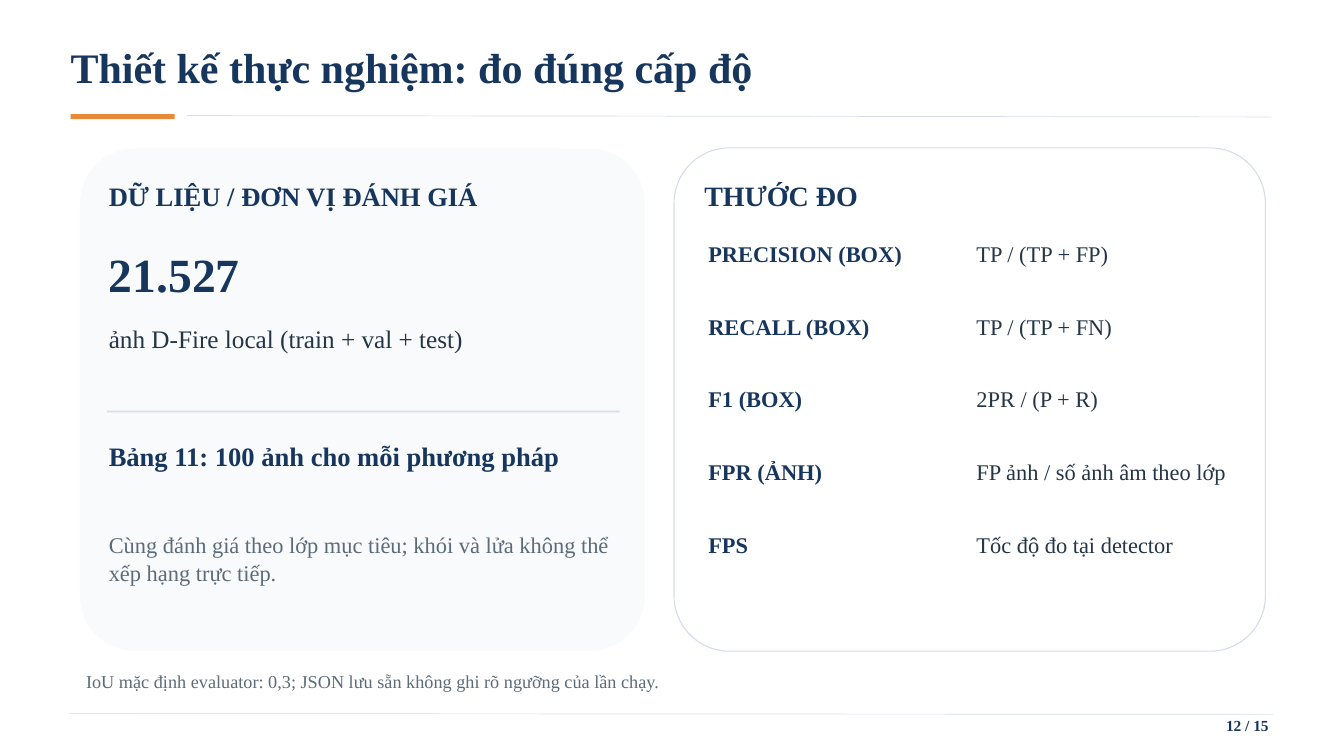
from pptx import Presentation
from pptx.dml.color import RGBColor
from pptx.enum.shapes import MSO_CONNECTOR as Connector, MSO_SHAPE as Shape
from pptx.enum.text import MSO_AUTO_SIZE as AutoSize, PP_ALIGN as Align
from pptx.oxml.ns import qn
from pptx.util import Pt
from lxml import etree

COLORS = {
    "navy": "17365D",
    "ink": "243546",
    "muted": "5C6B7A",
    "rule": "D5DEE9",
    "accent": "E88937",
    "panel": "F8FAFC",
    "white": "FFFFFF",
}


class SlideWriter:
    font_name = "Times New Roman"
    line_ratio = 1.284

    def __init__(self, slide):
        self.slide = slide

    def color(self, name):
        return RGBColor.from_string(COLORS[name])

    def text(self, words, left, top, width, height, size,
             color="navy", bold=False, align=Align.LEFT):
        box = self.slide.shapes.add_textbox(Pt(left), Pt(top), Pt(width), Pt(height))
        frame = box.text_frame
        frame.margin_left = frame.margin_right = 0
        frame.margin_top = frame.margin_bottom = 0
        frame.text = words
        frame.word_wrap = True
        frame.auto_size = AutoSize.SHAPE_TO_FIT_TEXT
        para = frame.paragraphs[0]
        para.alignment = align
        para.line_spacing = Pt(round(size * self.line_ratio, 1))
        span = para.runs[0].font
        span.name = self.font_name
        span.size = Pt(size)
        span.bold = bold
        span.color.rgb = self.color(color)

    def shape(self, kind, left, top, width, height, fill, line=None):
        shape = self.slide.shapes.add_shape(kind, Pt(left), Pt(top), Pt(width), Pt(height))
        shape.shadow.inherit = False
        shape.fill.solid()
        shape.fill.fore_color.rgb = self.color(fill)
        if line:
            shape.line.color.rgb = self.color(line)
            shape.line.width = Pt(1.2)
        else:
            shape.line.fill.background()
        return shape

    def bar(self, left, top, width, height, fill):
        self.shape(Shape.RECTANGLE, left, top, width, height, fill)

    def card(self, left, top, width, height, fill, line=None):
        card = self.shape(Shape.ROUNDED_RECTANGLE, left, top, width, height, fill, line)
        card.adjustments[0] = 0.11

    def rule(self, x1, y1, x2, y2):
        rule = self.slide.shapes.add_connector(
            Connector.STRAIGHT, Pt(x1), Pt(y1), Pt(x2), Pt(y2))
        rule.line.color.rgb = self.color("rule")
        rule.line.width = Pt(0.75)
        etree.SubElement(rule._element.spPr, qn("a:effectLst"))


deck = Presentation()
deck.slide_width, deck.slide_height = Pt(1440), Pt(810)
page = SlideWriter(deck.slides.add_slide(deck.slide_layouts[6]))

# Title and page frame
page.text("Thiết kế thực nghiệm: đo đúng cấp độ", 75.6, 41, 1273, 58.3, 45, bold=True)
page.bar(75.6, 122.2, 111.6, 5.4, "accent")
page.rule(200.2, 123.8, 1362.2, 125.3)
page.rule(74.9, 764.6, 1363.7, 765.4)
page.text("12 / 15", 1285.9, 766.1, 73.4, 22.3, 16.5, bold=True, align=Align.RIGHT)

# Data card
data_left = 116.6
page.card(85.7, 159.1, 605.2, 538.2, "panel")
page.text("DỮ LIỆU / ĐƠN VỊ ĐÁNH GIÁ", data_left, 190.1, 533, 36.7, 28.5, bold=True)
page.text("21.527", data_left, 257.8, 399.6, 66.2, 51, bold=True)
page.text("ảnh D-Fire local (train + val + test)", data_left, 344.2, 535, 35.3, 27, "ink")
page.bar(114.5, 439.9, 549.4, 2, "rule")
page.text("Bảng 11: 100 ảnh cho mỗi phương pháp", data_left, 469.4, 534.2, 36.7, 28.5, bold=True)
page.text("Cùng đánh giá theo lớp mục tiêu; khói và lửa không thể xếp hạng trực tiếp.",
          data_left, 566.6, 537.1, 61.9, 24, "muted")

# Metrics card
page.card(722.2, 158.4, 633.6, 539.3, "white", "rule")
page.text("THƯỚC ĐO", 754.6, 188.6, 556.6, 39.6, 30, bold=True)
metrics = [
    ("PRECISION (BOX)", "TP / (TP + FP)"),
    ("RECALL (BOX)", "TP / (TP + FN)"),
    ("F1 (BOX)", "2PR / (P + R)"),
    ("FPR (ẢNH)", "FP ảnh / số ảnh âm theo lớp"),
    ("FPS", "Tốc độ đo tại detector"),
]
for row, (metric, formula) in enumerate(metrics):
    top = 255.6 + row * 77.76
    page.text(metric, 758.9, top, 272.2, 31, 24, bold=True)
    page.text(formula, 1046.2, top, 272.2, 31, 24, "ink")

# Footnote
page.text("IoU mặc định evaluator: 0,3; JSON lưu sẵn không ghi rõ ngưỡng của lần chạy.",
          92.2, 717.1, 1248.5, 25.9, 19.5, "muted")

deck.save("out.pptx")
